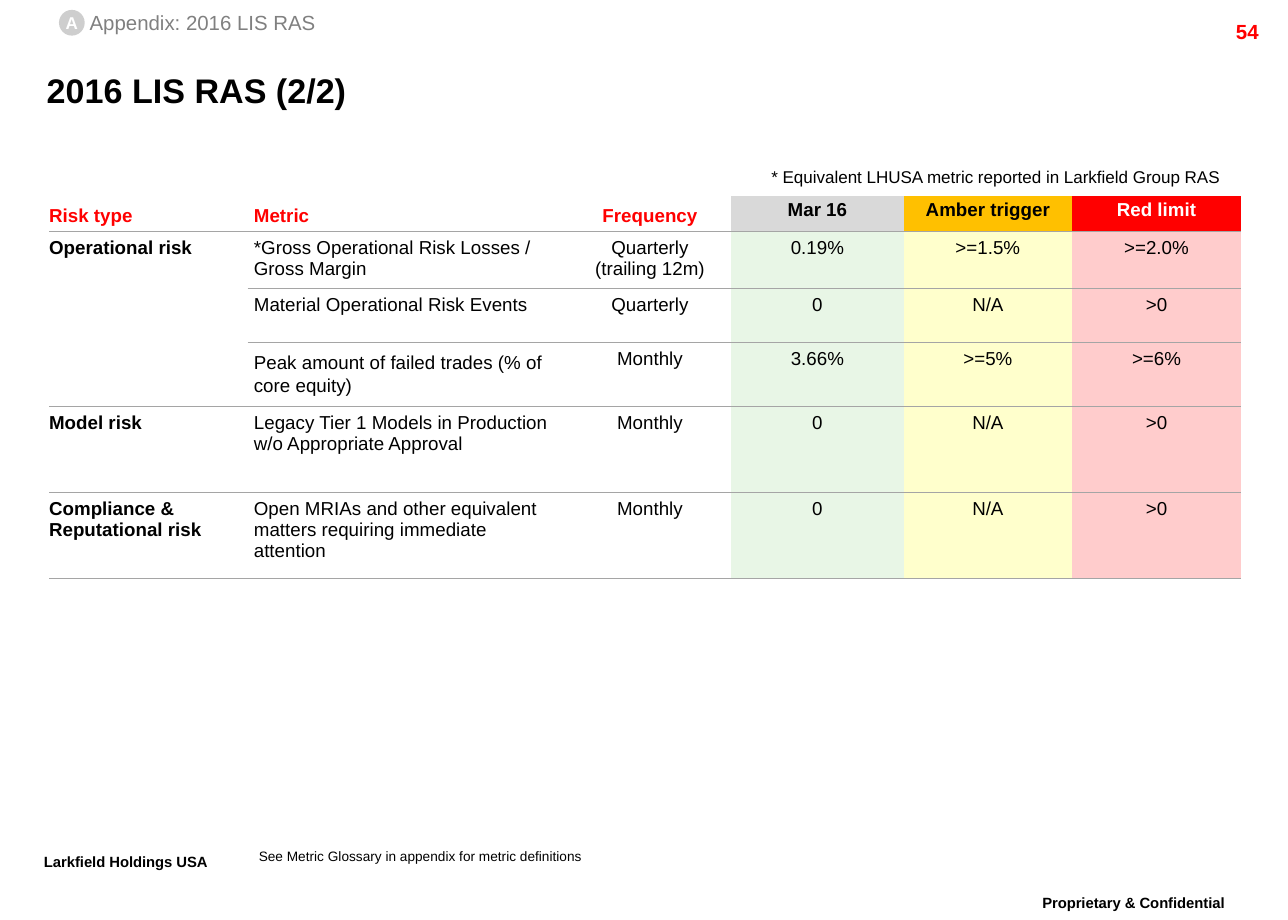
from dataclasses import dataclass
from typing import Optional

from lxml.etree import SubElement
from pptx import Presentation
from pptx.dml.color import RGBColor
from pptx.enum.shapes import MSO_SHAPE
from pptx.enum.text import MSO_ANCHOR, PP_ALIGN
from pptx.oxml.ns import qn
from pptx.util import Pt

LEFT, CENTER, RIGHT = PP_ALIGN.LEFT, PP_ALIGN.CENTER, PP_ALIGN.RIGHT
TOP, MIDDLE, BOTTOM = MSO_ANCHOR.TOP, MSO_ANCHOR.MIDDLE, MSO_ANCHOR.BOTTOM
DEFAULT_INSETS = (7.2, 3.6, 7.2, 3.6)
NO_INSETS = (0, 0, 0, 0)
RULE_COLOR = "A5A5A5"


@dataclass
class Label:
    text: str
    box: tuple[float, float, float, float]
    size: float
    color: str = "000000"
    bold: bool = False
    align: PP_ALIGN = LEFT
    anchor: MSO_ANCHOR = TOP
    spacing: float = 1.0
    insets: tuple[float, float, float, float] = DEFAULT_INSETS
    wrap: bool = True
    superscript: bool = False


@dataclass
class Column:
    heading: str
    width: float
    heading_color: str
    heading_fill: Optional[str] = None
    body_fill: Optional[str] = None
    align: PP_ALIGN = CENTER


@dataclass
class Metric:
    values: tuple[str, ...]
    height: float
    metric_spacing: float = 1.0


LABELS = [
    Label("Proprietary & Confidential", (586.8, 522, 157, 25.2), 15, bold=True,
          align=CENTER, spacing=0.86, superscript=True),
    Label("Larkfield Holdings USA", (18.7, 497.5, 137.5, 25.2), 15, bold=True,
          spacing=0.86, wrap=False, superscript=True),
    Label("54", (673.9, 7.9, 72, 17.3), 12, "FF0000", True, RIGHT),
    Label("2016 LIS RAS (2/2)", (27.4, 35.3, 682.6, 34.6), 20, bold=True,
          anchor=MIDDLE, insets=NO_INSETS),
    Label("* Equivalent LHUSA metric reported in Larkfield Group RAS",
          (440.6, 95.8, 287.3, 18), 10, align=CENTER, spacing=0.86, wrap=False),
    Label("Appendix: 2016 LIS RAS", (52.6, 5.8, 135.4, 14.4), 12, "808080",
          anchor=MIDDLE, insets=NO_INSETS, wrap=False),
    Label("See Metric Glossary in appendix for metric definitions",
          (151.9, 499, 393.8, 8.6), 8, spacing=0.86, insets=NO_INSETS),
]
BADGE = Label("A", (34.6, 5.8, 15.1, 15.1), 10, "FFFFFF", True, CENTER, MIDDLE, wrap=False)

COLUMNS = [
    Column("Risk type", 116.64, "FF0000", align=LEFT),
    Column("Metric", 188.64, "FF0000", align=LEFT),
    Column("Frequency", 95.04, "FF0000"),
    Column("Mar 16", 101.52, "000000", "D9D9D9", "E8F6E6"),
    Column("Amber trigger", 98.64, "000000", "FFC000", "FFFFCC"),
    Column("Red limit", 99.36, "FFFFFF", "FF0000", "FFCCCC"),
]
HEADING_HEIGHT = 20.88
METRICS = [
    Metric(("Operational risk", "*Gross Operational Risk Losses / Gross Margin",
            "Quarterly\n(trailing 12m)", "0.19%", ">=1.5%", ">=2.0%"), 33.5),
    Metric(("", "Material Operational Risk Events", "Quarterly", "0", "N/A", ">0"), 31.7),
    Metric(("", "Peak amount of failed trades (% of core equity)",
            "Monthly", "3.66%", ">=5%", ">=6%"), 37.5, 1.15),
    Metric(("Model risk", "Legacy Tier 1 Models in Production w/o Appropriate Approval",
            "Monthly", "0", "N/A", ">0"), 50.4),
    Metric(("Compliance & Reputational risk",
            "Open MRIAs and other equivalent matters requiring immediate attention",
            "Monthly", "0", "N/A", ">0"), 50.4),
]


def rgb(color: str) -> RGBColor:
    return RGBColor.from_string(color)


def write_text(frame, text: str, *, size: float, color: str = "000000", bold: bool = False,
               align: PP_ALIGN = LEFT, spacing: float = 1.0, superscript: bool = False) -> None:
    for index, line in enumerate(text.split("\n")):
        paragraph = frame.paragraphs[0] if index == 0 else frame.add_paragraph()
        paragraph.alignment = align
        paragraph.line_spacing = spacing
        run = paragraph.add_run()
        run.text = line
        run.font.name = "Arial"
        run.font.size = Pt(size)
        run.font.bold = bold
        run.font.color.rgb = rgb(color)
        if superscript:
            run._r.get_or_add_rPr().set("baseline", "30000")


def set_margins(target, insets: tuple[float, float, float, float]) -> None:
    target.margin_left, target.margin_top, target.margin_right, target.margin_bottom = map(Pt, insets)


def fill_label(shape, label: Label) -> None:
    frame = shape.text_frame
    frame.word_wrap = label.wrap
    frame.vertical_anchor = label.anchor
    set_margins(frame, label.insets)
    write_text(frame, label.text, size=label.size, color=label.color, bold=label.bold,
               align=label.align, spacing=label.spacing, superscript=label.superscript)


def add_label(slide, label: Label) -> None:
    fill_label(slide.shapes.add_textbox(*map(Pt, label.box)), label)


def add_badge(slide, label: Label) -> None:
    shape = slide.shapes.add_shape(MSO_SHAPE.OVAL, *map(Pt, label.box))
    shape.shadow.inherit = False
    shape.fill.solid()
    shape.fill.fore_color.rgb = rgb("CECECE")
    shape.line.fill.background()
    fill_label(shape, label)


def set_borders(cell, ruled_sides: str) -> None:
    properties = cell._tc.get_or_add_tcPr()
    for side in "LRTB":
        line = SubElement(properties, qn(f"a:ln{side}"), w=str(Pt(0.75)))
        if side in ruled_sides:
            fill = SubElement(line, qn("a:solidFill"))
            SubElement(fill, qn("a:srgbClr"), val=RULE_COLOR)
        else:
            SubElement(line, qn("a:noFill"))


def format_cell(cell, column_index: int, fill: Optional[str], ruled_sides: str) -> None:
    set_borders(cell, ruled_sides)
    set_margins(cell, (0 if column_index == 0 else 3.6, 3.6, 3.6, 3.6))
    if fill:
        cell.fill.solid()
        cell.fill.fore_color.rgb = rgb(fill)
    else:
        cell.fill.background()


def add_metric_table(slide) -> None:
    heights = [HEADING_HEIGHT] + [metric.height for metric in METRICS]
    width = sum(column.width for column in COLUMNS)
    table = slide.shapes.add_table(len(heights), len(COLUMNS), Pt(28.8), Pt(115.2),
                                   Pt(width), Pt(sum(heights))).table
    table.first_row = table.horz_banding = False
    for row, height in zip(table.rows, heights):
        row.height = Pt(height)
    table.cell(1, 0).merge(table.cell(3, 0))
    for column_index, column in enumerate(COLUMNS):
        table.columns[column_index].width = Pt(column.width)
        heading = table.cell(0, column_index)
        format_cell(heading, column_index, column.heading_fill, "B")
        heading.vertical_anchor = TOP if column.heading_fill else BOTTOM
        write_text(heading.text_frame, column.heading, size=11, color=column.heading_color,
                   bold=True, align=column.align, spacing=0.86)
        for row_index, metric in enumerate(METRICS, start=1):
            cell = table.cell(row_index, column_index)
            format_cell(cell, column_index, column.body_fill, "" if cell.is_spanned else "TB")
            if not cell.is_spanned:
                write_text(cell.text_frame, metric.values[column_index], size=11,
                           bold=column_index == 0, align=column.align,
                           spacing=metric.metric_spacing if column_index == 1 else 1.0)


def main() -> None:
    presentation = Presentation()
    presentation.slide_width, presentation.slide_height = Pt(756), Pt(540)
    slide = presentation.slides.add_slide(presentation.slide_layouts[6])
    add_metric_table(slide)
    for label in LABELS:
        add_label(slide, label)
    add_badge(slide, BADGE)
    presentation.save("out.pptx")


if __name__ == "__main__":
    main()
